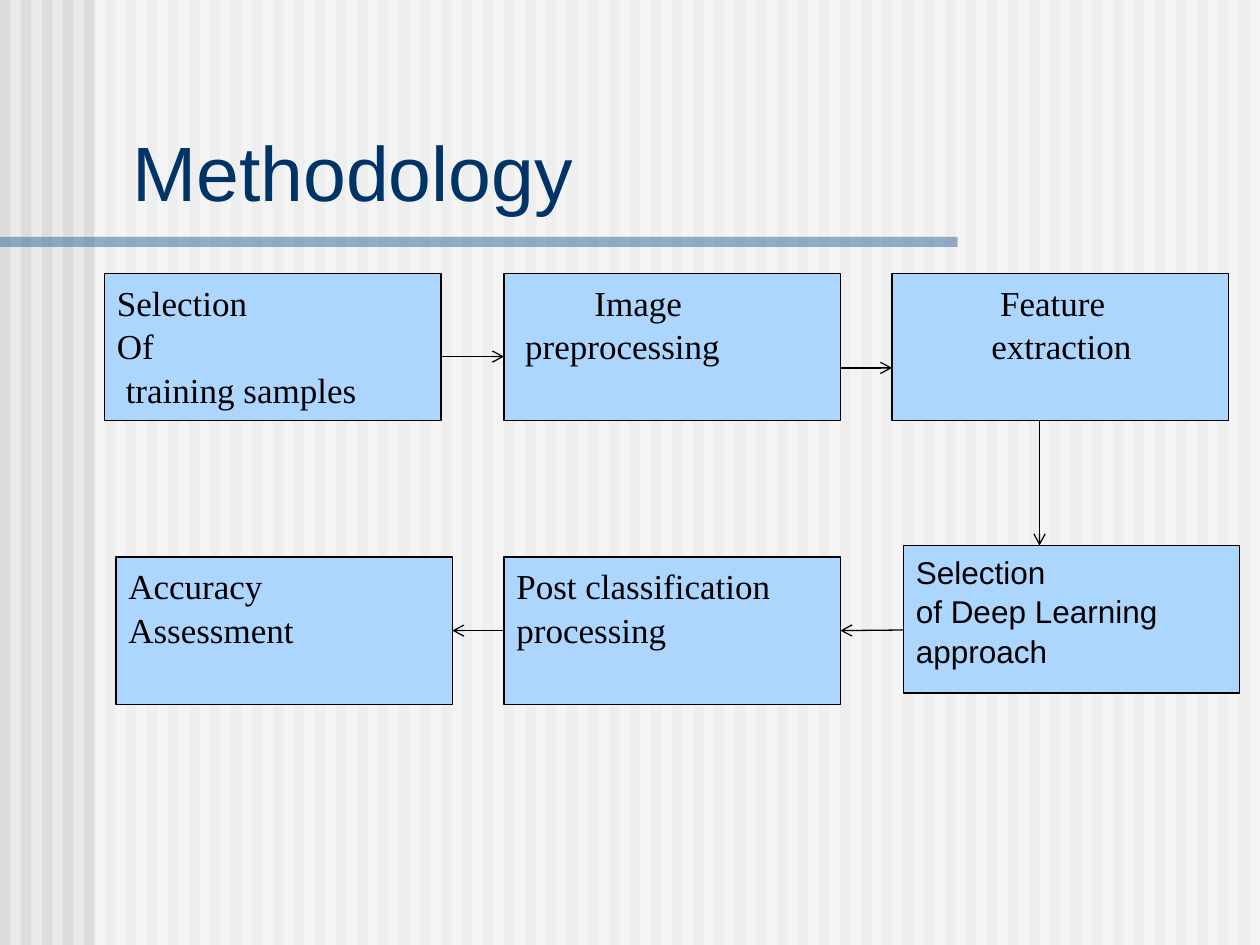
from lxml import etree
from pptx import Presentation
from pptx.dml.color import RGBColor
from pptx.enum.shapes import MSO_CONNECTOR, MSO_SHAPE
from pptx.enum.text import MSO_ANCHOR, PP_ALIGN
from pptx.oxml.ns import qn
from pptx.util import Inches, Pt

RECTANGLE = MSO_SHAPE.RECTANGLE
STRAIGHT = MSO_CONNECTOR.STRAIGHT
LEFT = PP_ALIGN.LEFT
TOP, BOTTOM = MSO_ANCHOR.TOP, MSO_ANCHOR.BOTTOM
LEFT_SIDE, RIGHT_SIDE = 1, 3

COLORS = {
    "background": "EAEAEA",
    "stripe": "DDDDDD",
    "veil": "FFFFFF",
    "rule": "336699",
    "title": "003366",
    "step": "ADD6FF",
    "ink": "000000",
}
SERIF = {"name": "Times New Roman", "size": Pt(20)}
SANS = {"name": "Arial", "size": Pt(18)}
STEP_SIZE = (2.67, 1.17)

# Each step: left, top, font, and lines as (text, indent in inches)
STEPS = {
    "samples": (0.83, 2.17, SERIF,
                [("Selection", 0), ("Of", 0), ("training samples", 0.07)]),
    "accuracy": (0.92, 4.42, SERIF, [("Accuracy", 0), ("Assessment", 0)]),
    "post": (4, 4.42, SERIF, [("Post classification processing", 0)]),
    "approach": (7.17, 4.33, SANS,
                 [("Selection", 0), ("of Deep Learning approach", 0)]),
    "features": (7.08, 2.17, SERIF, [("Feature", 0.76), ("extraction", 0.69)]),
    "preprocessing": (4, 2.17, SERIF, [("Image", 0.62), ("preprocessing", 0.07)]),
}


def color(name):
    return RGBColor.from_string(COLORS[name])


def set_font(font, color_name, **values):
    for attribute, value in values.items():
        setattr(font, attribute, value)
    font.color.rgb = color(color_name)


def add_rectangle(shapes, box, fill, opacity=None):
    shape = shapes.add_shape(RECTANGLE, *map(Inches, box))
    shape.shadow.inherit = False
    shape.fill.solid()
    shape.fill.fore_color.rgb = color(fill)
    shape.line.fill.background()
    if opacity is not None:
        fill_color = shape.element.spPr.find(".//" + qn("a:srgbClr"))
        etree.SubElement(fill_color, qn("a:alpha"), val=str(opacity * 1000))
    return shape


def add_backdrop(page, box):
    left, top, width, height = box
    page.background.fill.solid()
    page.background.fill.fore_color.rgb = color("background")
    group = page.shapes.add_group_shape()
    pitch = 1 / 6
    for index in range(round(width / pitch)):
        add_rectangle(group.shapes, (left + index * pitch, top, pitch / 2, height),
                      "stripe")
    add_rectangle(group.shapes, (left + 0.75, top, width - 0.75, height), "veil", 50)
    add_rectangle(group.shapes, (left, top + 1.88, 7.6, 0.08), "rule", 50)


def add_title(page, box):
    title = page.shapes.title
    title.left, title.top, title.width, title.height = map(Inches, box)
    page.shapes.element.append(title.element)  # in front of the backdrop
    frame = title.text_frame
    frame.text = "Methodology"
    frame.vertical_anchor = BOTTOM
    para = frame.paragraphs[0]
    para.alignment = LEFT
    set_font(para.runs[0].font, "title", name="Arial", size=Pt(44))


def add_step(page, box, font, lines):
    shape = add_rectangle(page.shapes, box, "step")
    shape.line.color.rgb = color("ink")
    shape.line.width = Pt(0.75)
    frame = shape.text_frame
    frame.word_wrap = True
    frame.vertical_anchor = TOP
    for index, (text, indent) in enumerate(lines):
        para = frame.add_paragraph() if index else frame.paragraphs[0]
        para.alignment = LEFT
        para.line_spacing = 1.04
        if indent:
            properties = para._p.get_or_add_pPr()
            properties.set("marL", str(Inches(indent)))
            properties.set("indent", "0")
        span = para.add_run()
        span.text = text
        set_font(span.font, "ink", **font)
    return shape


def add_arrow(page, start, end):
    arrow = page.shapes.add_connector(STRAIGHT, *map(Inches, start + end))
    arrow.line.color.rgb = color("ink")
    arrow.line.width = Pt(0.75)
    etree.SubElement(arrow.line._get_or_add_ln(), qn("a:tailEnd"), type="arrow")
    etree.SubElement(arrow.element.spPr, qn("a:effectLst"))
    return arrow


def add_flow(page):
    boxes = {name: add_step(page, (left, top, *STEP_SIZE), font, lines)
             for name, (left, top, font, lines) in STEPS.items()}

    # Top row, then down, then back along the bottom row
    add_arrow(page, (3.5, 2.83), (4, 2.83))
    add_arrow(page, (6.67, 2.92), (7.08, 2.92))
    add_arrow(page, (8.25, 3.33), (8.25, 4.33))
    to_post = add_arrow(page, (7.17, 5), (6.67, 5))
    to_post.end_connect(boxes["post"], RIGHT_SIDE)
    to_accuracy = add_arrow(page, (4, 5), (3.58, 5))
    to_accuracy.begin_connect(boxes["post"], LEFT_SIDE)
    to_accuracy.end_connect(boxes["accuracy"], RIGHT_SIDE)


def main():
    deck = Presentation()
    deck.slide_width, deck.slide_height = Inches(10), Inches(7.5)
    page = deck.slides.add_slide(deck.slide_layouts[5])
    add_backdrop(page, (0, 0, 10, 7.5))
    add_title(page, (0.95, 0.58, 8.93, 1.19))
    add_flow(page)
    deck.save("out.pptx")


if __name__ == "__main__":
    main()
